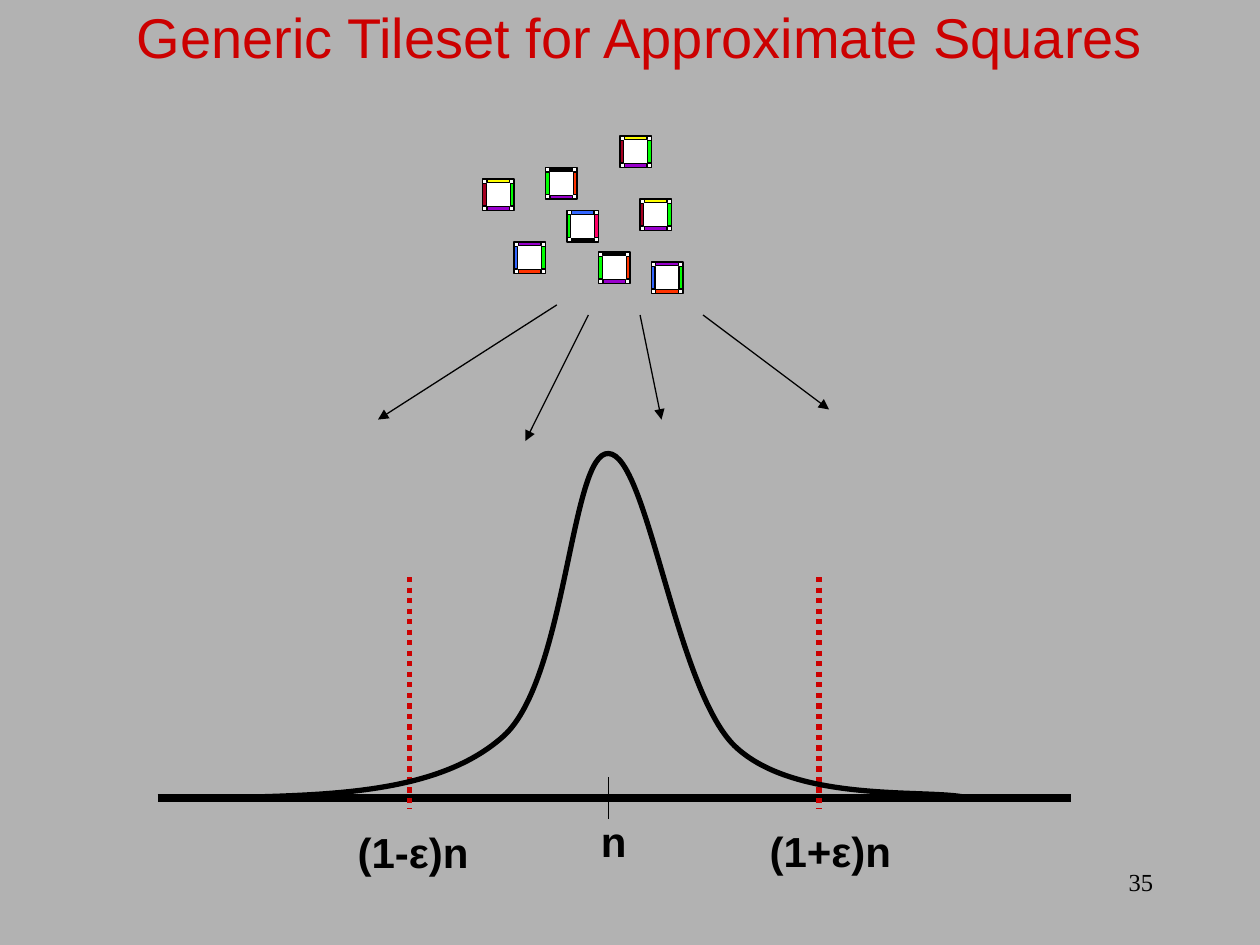
from pptx import Presentation
from pptx.dml.color import RGBColor
from pptx.enum.dml import MSO_LINE_DASH_STYLE as Dash
from pptx.enum.shapes import MSO_CONNECTOR, MSO_SHAPE
from pptx.enum.text import MSO_ANCHOR as Anchor, MSO_AUTO_SIZE as AutoSize, PP_ALIGN as Align
from pptx.oxml.ns import qn
from pptx.oxml.xmlchemy import OxmlElement
from pptx.util import Inches, Pt

BLACK, WHITE, RED, GREY = "000000", "FFFFFF", "CC0000", "B2B2B2"
GREEN, MAROON, YELLOW, PURPLE = "00FF00", "A50021", "FFFF00", "9900CC"
BLUE, ORANGE, PINK = "3366FF", "FF3300", "FF0066"

# Glue colours: right, left, top, bottom
YELLOW_TOP = (GREEN, MAROON, YELLOW, PURPLE)
PURPLE_TOP = (GREEN, BLUE, PURPLE, ORANGE)
BLACK_TOP = (ORANGE, GREEN, BLACK, PURPLE)
BLUE_TOP = (PINK, GREEN, BLUE, BLACK)

TILES = [
    (4.92, 1.08, YELLOW_TOP), (3.83, 1.42, YELLOW_TOP), (5.08, 1.58, YELLOW_TOP),
    (5.17, 2.08, PURPLE_TOP), (4.33, 1.33, BLACK_TOP), (4.08, 1.92, PURPLE_TOP),
    (4.75, 2, BLACK_TOP), (4.5, 1.67, BLUE_TOP),
]
TILE_SIZE, GLUE_WIDTH, GLUE_LENGTH, GLUE_OFFSET = 0.25, 0.03, 0.18, 0.11
GLUE_SIDES = [(1, 0, 0), (-1, 0, 0), (0, -1, 270), (0, 1, 270)]

# Start point, then two control points and an end point for each segment
BELL = [
    (1.83, 6.33),
    (2.67, 6.31), (3.5, 6.29), (4, 5.84),
    (4.5, 5.38), (4.53, 3.58), (4.83, 3.6),
    (5.14, 3.61), (5.36, 5.46), (5.83, 5.92),
    (6.31, 6.38), (7.36, 6.26), (7.67, 6.33),
]
ARROWS = [
    ((4.42, 2.42), (3, 3.33)), ((4.67, 2.5), (4.17, 3.5)),
    ((5.08, 2.5), (5.25, 3.33)), ((5.58, 2.5), (6.58, 3.25)),
]


def colour(code):
    return RGBColor.from_string(code)


class SlidePainter:
    def __init__(self, slide, font="Arial"):
        self.slide = slide
        self.shapes = slide.shapes
        self.font = font

    def background(self, code):
        fill = self.slide.background.fill
        fill.solid()
        fill.fore_color.rgb = colour(code)

    def outline(self, shape, code, width):
        shape.line.color.rgb = colour(code)
        shape.line.width = Pt(width)

    def text(self, text, left, top, width, height, size, code=BLACK, font=None,
             bold=False, align=Align.LEFT, anchor=Anchor.TOP, wrap=True):
        box = self.shapes.add_textbox(*map(Inches, (left, top, width, height)))
        frame = box.text_frame
        frame.text = text
        frame.word_wrap = wrap
        frame.auto_size = AutoSize.NONE if wrap else AutoSize.SHAPE_TO_FIT_TEXT
        frame.vertical_anchor = anchor
        para = frame.paragraphs[0]
        para.alignment = align
        style = para.runs[0].font
        style.name = font or self.font
        style.size = Pt(size)
        style.bold = bold
        style.color.rgb = colour(code)

    def rectangle(self, left, top, width, height, code, rotation=0):
        shape = self.shapes.add_shape(
            MSO_SHAPE.RECTANGLE, *map(Inches, (left, top, width, height)))
        shape.shadow.inherit = False
        shape.rotation = rotation
        shape.fill.solid()
        shape.fill.fore_color.rgb = colour(code)
        self.outline(shape, BLACK, 0.75)

    def tile(self, left, top, glues):
        """Draw a white square with a coloured glue strip along each side."""
        self.rectangle(left, top, TILE_SIZE, TILE_SIZE, WHITE)
        for (across, down, rotation), glue in zip(GLUE_SIDES, glues):
            center_x = left + TILE_SIZE / 2 + across * GLUE_OFFSET
            center_y = top + TILE_SIZE / 2 + down * GLUE_OFFSET
            self.rectangle(center_x - GLUE_WIDTH / 2, center_y - GLUE_LENGTH / 2,
                           GLUE_WIDTH, GLUE_LENGTH, glue, rotation)

    def line(self, start, end, code=BLACK, width=0.75, dash=None, arrow=False):
        connector = self.shapes.add_connector(
            MSO_CONNECTOR.STRAIGHT, *map(Inches, (*start, *end)))
        self.outline(connector, code, width)
        if dash:
            connector.line.dash_style = dash
        if arrow:
            tail = OxmlElement("a:tailEnd")
            tail.set("type", "triangle")
            connector.line._get_or_add_ln().append(tail)
        connector.element.spPr.append(OxmlElement("a:effectLst"))

    def curve(self, points, code, width):
        """Draw an open outline of cubic Bézier segments."""
        start, *rest = [(Inches(x), Inches(y)) for x, y in points]
        builder = self.shapes.build_freeform(*start)
        builder.add_line_segments(rest, close=False)
        shape = builder.convert_to_shape()
        shape.shadow.inherit = False
        shape.fill.background()
        self.outline(shape, code, width)
        steps = list(shape.element.iter(qn("a:lnTo")))
        for first in range(0, len(steps), 3):
            segment = OxmlElement("a:cubicBezTo")
            steps[first].addprevious(segment)
            for step in steps[first:first + 3]:
                segment.append(step[0])
                step.getparent().remove(step)


def main():
    deck = Presentation()
    deck.slide_width, deck.slide_height = Inches(10), Inches(7.5)
    painter = SlidePainter(deck.slides.add_slide(deck.slide_layouts[6]))
    painter.background(GREY)

    painter.text("35", 7.17, 6.83, 2.08, 0.5, 14, font="Times New Roman", align=Align.RIGHT)
    for left, top, glues in TILES:
        painter.tile(left, top, glues)
    painter.text("Generic Tileset for Approximate Squares", 0.83, 0, 8.5, 0.58, 32, RED,
                 align=Align.CENTER, anchor=Anchor.MIDDLE)

    painter.line((1.25, 6.33), (8.5, 6.33), width=4.5)
    painter.line((4.83, 6.17), (4.83, 6.5))
    for x in (3.25, 6.5):
        painter.line((x, 4.58), (x, 6.42), RED, 3, Dash.ROUND_DOT)
    for label, left, top, width in [("n", 4.67, 6.42, 0.4), ("(1-ε)n", 2.74, 6.51, 1.08),
                                    ("(1+ε)n", 6.01, 6.5, 1.17)]:
        painter.text(label, left, top, width, 0.5, 24, bold=True, wrap=False)

    painter.curve(BELL, BLACK, 3)
    for start, end in ARROWS:
        painter.line(start, end, arrow=True)

    deck.save("out.pptx")


if __name__ == "__main__":
    main()
